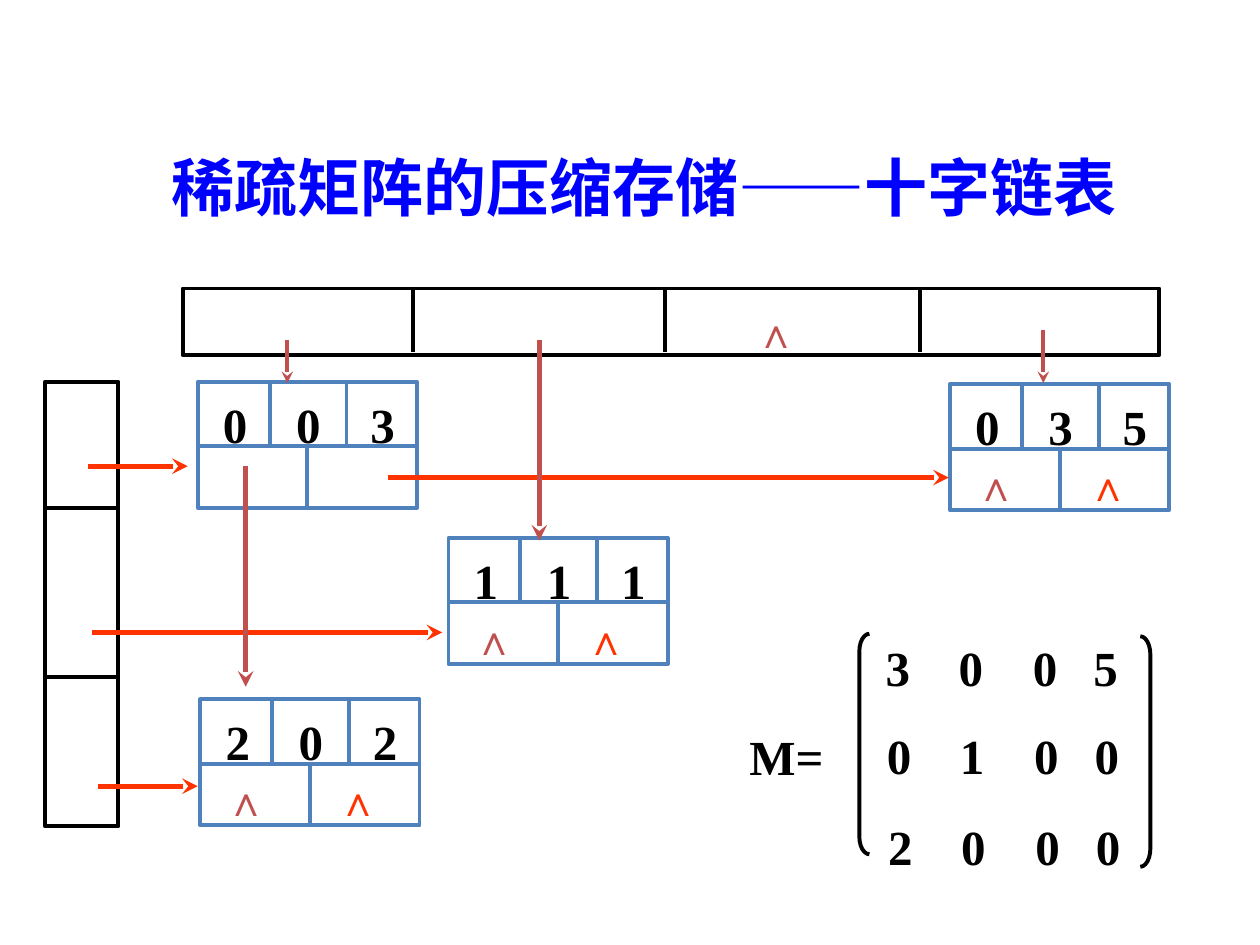
"""Build a slide on storing a sparse matrix as an orthogonal linked list."""
from lxml.etree import SubElement
from pptx import Presentation
from pptx.dml.color import RGBColor
from pptx.enum.shapes import MSO_CONNECTOR, MSO_SHAPE
from pptx.enum.text import MSO_ANCHOR
from pptx.oxml.ns import qn
from pptx.util import Inches, Pt

BLACK = RGBColor(0x00, 0x00, 0x00)
WHITE = RGBColor(0xFF, 0xFF, 0xFF)
BLUE = RGBColor(0x00, 0x00, 0xFF)
NODE_BLUE = RGBColor(0x4F, 0x81, 0xBD)
ROW_RED = RGBColor(0xFF, 0x33, 0x00)
COLUMN_RED = RGBColor(0xC0, 0x50, 0x4D)
SERIF, SANS = "Times New Roman", "Noto Sans CJK SC"

TITLE = "稀疏矩阵的压缩存储——十字链表"
NIL = "∧"
NODE_W, NODE_H, NODE_SPLIT = 1.74, 1, 0.51
DIGIT_STOPS = (0.58, 1.17)
MATRIX_STOPS = (0.58, 1.17, 1.65)

NODES = [
    (1.59, 5.55, (2, 0, 2), True),
    (1.57, 3.03, (0, 0, 3), False),
    (7.54, 3.05, (0, 3, 5), True),
    (3.56, 4.27, (1, 1, 1), True),
]
MATRIX = [
    (6.93, 4.96, (3, 0, 0, 5)),
    (6.94, 5.66, (0, 1, 0, 0)),
    (6.95, 6.38, (2, 0, 0, 0)),
]
BRACKETS = [
    (MSO_SHAPE.LEFT_BRACKET, 6.82, 5.03, 1.75),
    (MSO_SHAPE.RIGHT_BRACKET, 9.05, 5.05, 1.83),
]
ROW_HEADS = (0.36, 3.03, 0.58, 3.53)
ROW_DIVIDERS = (4.03, 5.37)
COLUMN_HEADS = (1.45, 2.29, 7.75, 0.53)
COLUMN_DIVIDERS = (3.28, 5.28, 7.3)
ROW_ARROWS = [
    (0.78, 6.24, 1.57),
    (0.7, 3.7, 1.49),
    (3.08, 3.79, 7.53),
    (0.73, 5.02, 3.51),
]
COLUMN_ARROWS = [
    (8.28, 2.62, 3.04, 2.25),
    (4.28, 2.7, 4.29, 3),
    (2.28, 2.7, 3.04, 2.25),
    (1.95, 3.7, 5.45, 3),
]


def write(shape, text, size, color, font=SERIF, margins=(0.1, 0.1), stops=()):
    frame = shape.text_frame
    frame.word_wrap = True
    frame.vertical_anchor = MSO_ANCHOR.TOP
    frame.margin_left, frame.margin_top = map(Inches, margins)
    frame.margin_right = frame.margin_bottom = 0
    frame.text = text
    paragraph = frame.paragraphs[0]
    properties = paragraph._p.get_or_add_pPr()
    properties.set("algn", "l")
    if stops:
        tabs = SubElement(properties, qn("a:tabLst"))
        for stop in stops:
            SubElement(tabs, qn("a:tab"), pos=str(Inches(stop)), algn="l")
    for run in paragraph.runs:
        run.font.size = Pt(size)
        run.font.bold = True
        run.font.color.rgb = color
        run.font.name = font
        SubElement(run._r.get_or_add_rPr(), qn("a:ea"), typeface=font)


def add_label(slide, box, text, size, color, **options):
    label = slide.shapes.add_textbox(*map(Inches, box))
    write(label, text, size, color, **options)
    return label


def add_outline(slide, kind, box, color, fill=None):
    outline = slide.shapes.add_shape(kind, *map(Inches, box))
    outline.shadow.inherit = False
    outline.line.color.rgb = color
    outline.line.width = Pt(2.25)
    if fill is None:
        outline.fill.background()
    else:
        outline.fill.solid()
        outline.fill.fore_color.rgb = fill
    return outline


def add_line(slide, ends, color, width=2.25, arrow=False):
    line = slide.shapes.add_connector(MSO_CONNECTOR.STRAIGHT, *map(Inches, ends))
    line.line.color.rgb = color
    line.line.width = Pt(width)
    if arrow:
        SubElement(line.line._get_or_add_ln(), qn("a:tailEnd"), type="stealth")
    SubElement(line._element.spPr, qn("a:effectLst"))
    return line


def add_node(slide, left, top, triple, is_last):
    node = add_outline(slide, MSO_SHAPE.RECTANGLE, (left, top, NODE_W, NODE_H), NODE_BLUE, WHITE)
    write(node, "\t".join(map(str, triple)), 28, BLACK, margins=(0.2, 0.1), stops=DIGIT_STOPS)
    split = top + NODE_SPLIT
    middle = left + NODE_W / 2
    add_line(slide, (left, split, left + NODE_W, split), NODE_BLUE)
    for offset in (0.57, 1.18):
        add_line(slide, (left + offset, top, left + offset, split), NODE_BLUE)
    divider = add_line(slide, (middle, split, middle, top + NODE_H), NODE_BLUE)
    divider.end_connect(node, 2)
    if is_last:
        for offset, color in ((0.2, COLUMN_RED), (1.09, ROW_RED)):
            box = (left + offset, top + 0.55, 0.41, 0.4)
            add_label(slide, box, NIL, 24, color, margins=(0, 0.05))


def main():
    deck = Presentation()
    deck.slide_width, deck.slide_height = Inches(10), Inches(7.5)
    slide = deck.slides.add_slide(deck.slide_layouts[6])

    for node in NODES:
        add_node(slide, *node)

    add_label(slide, (5.85, 5.67, 0.9, 0.57), "M=", 28, BLACK)
    for left, top, values in MATRIX:
        add_label(slide, (left, top, 2.8, 0.57), "\t".join(map(str, values)), 28, BLACK,
                  stops=MATRIX_STOPS)
    for kind, left, top, height in BRACKETS:
        bracket = add_outline(slide, kind, (left, top, 0.08, height), BLACK)
        bracket.adjustments[0] = height

    add_outline(slide, MSO_SHAPE.RECTANGLE, ROW_HEADS, BLACK)
    left, _, width, _ = ROW_HEADS
    for y in ROW_DIVIDERS:
        add_line(slide, (left, y, left + width, y), BLACK)
    add_outline(slide, MSO_SHAPE.RECTANGLE, COLUMN_HEADS, BLACK)
    top = COLUMN_HEADS[1]
    for x in COLUMN_DIVIDERS:
        add_line(slide, (x, top, x, top + 0.5), BLACK)
    add_label(slide, (5.9, 2.33, 0.6, 0.5), NIL, 24, COLUMN_RED)

    for start, y, end in ROW_ARROWS:
        add_line(slide, (start, y, end, y), ROW_RED, 3, arrow=True)
    for x, start, end, weight in COLUMN_ARROWS:
        add_line(slide, (x, start, x, end), COLUMN_RED, weight, arrow=True)

    title = add_label(slide, (1.26, 0.23, 8.52, 1.6), TITLE, 36, BLUE, font=SANS,
                      margins=(0.1, 0.05))
    title.text_frame.margin_bottom = Inches(0.05)
    title.text_frame.vertical_anchor = MSO_ANCHOR.BOTTOM
    deck.save("out.pptx")


if __name__ == "__main__":
    main()
